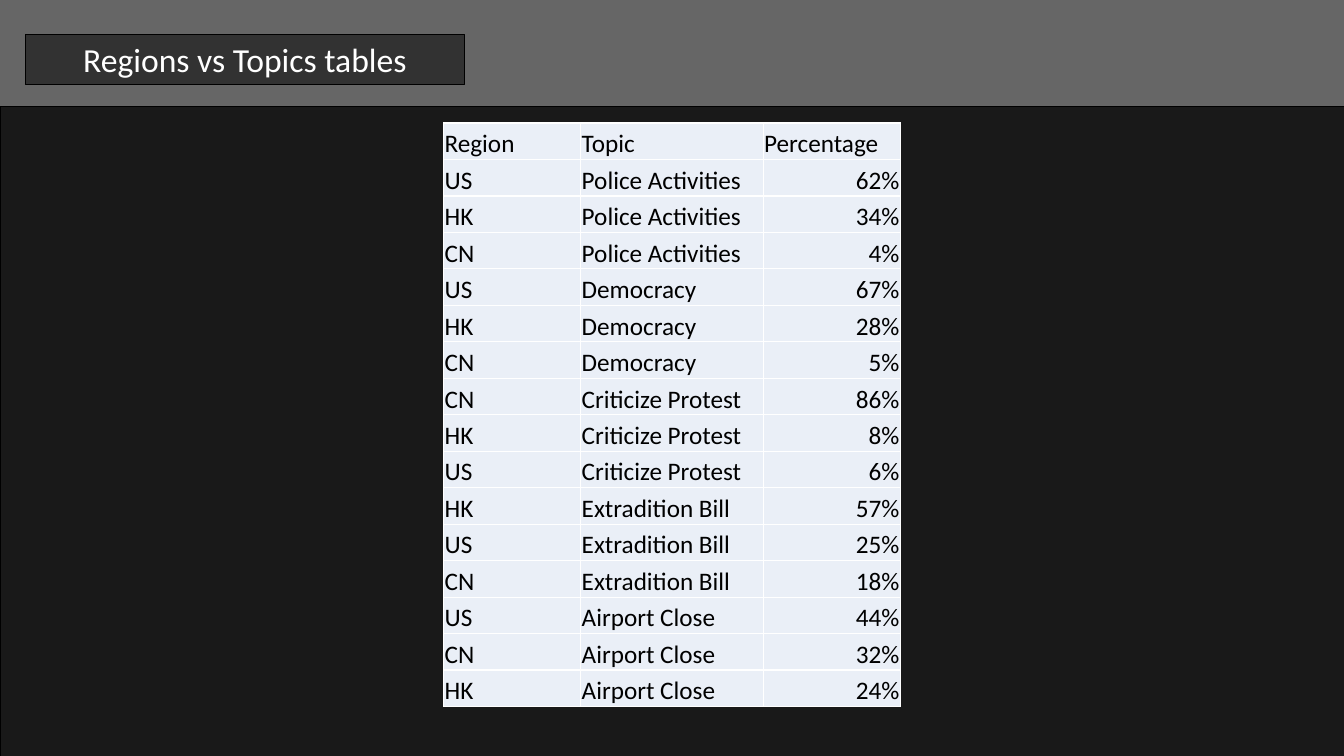
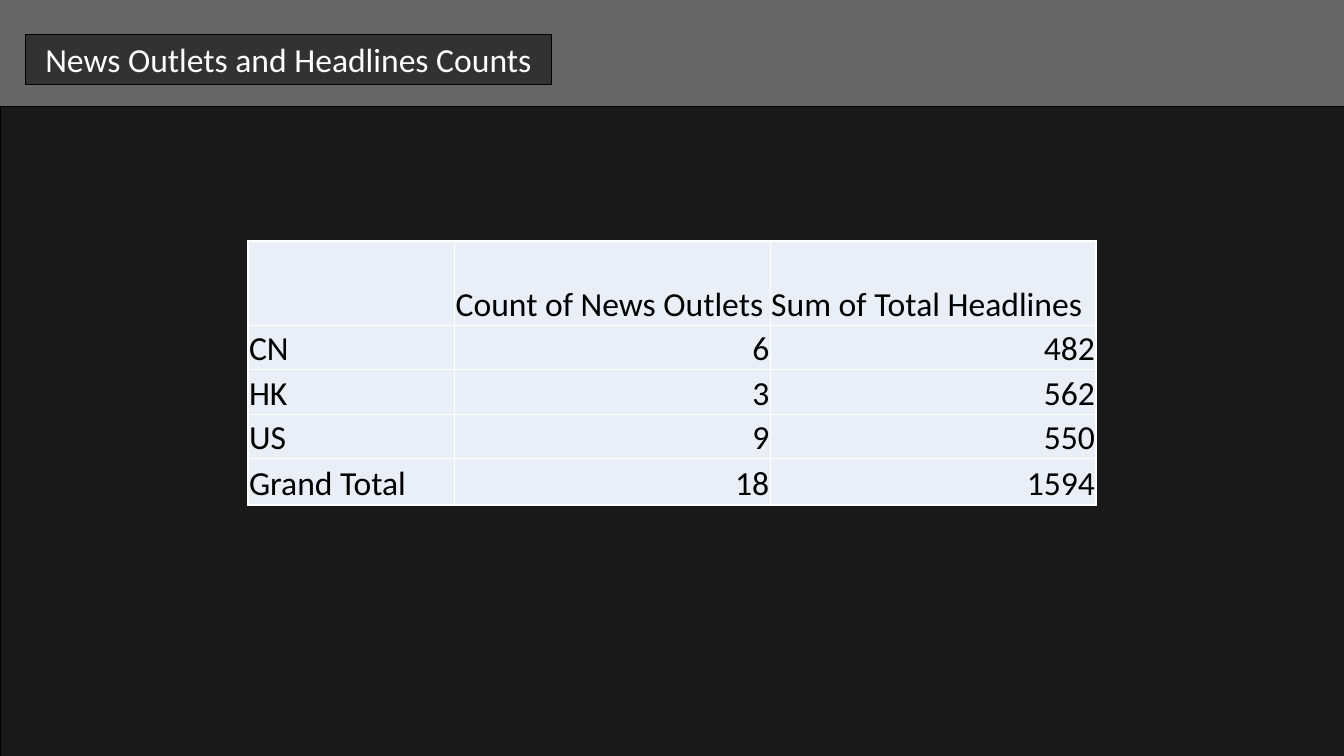
import dataclasses

import lxml.etree
import pptx
import pptx.dml.color
import pptx.enum.shapes
import pptx.enum.text
import pptx.oxml.ns
import pptx.util

Inches = pptx.util.Inches
Pt = pptx.util.Pt
qn = pptx.oxml.ns.qn
PP_ALIGN = pptx.enum.text.PP_ALIGN


@dataclasses.dataclass(frozen=True)
class Theme:
    font: str = "Calibri"
    dark: str = "000000"
    light: str = "FFFFFF"
    cell: str = "EAEFF7"
    title_size: int = 24
    large_size: int = 24
    small_size: int = 18
    width: float = 13.33
    height: float = 7.5
    band: float = 1.06


THEME = Theme()

TOPICS = {
    "Police Activities": [("US", 62), ("HK", 34), ("CN", 4)],
    "Democracy": [("US", 67), ("HK", 28), ("CN", 5)],
    "Criticize Protest": [("CN", 86), ("HK", 8), ("US", 6)],
    "Extradition Bill": [("HK", 57), ("US", 25), ("CN", 18)],
    "Airport Close": [("US", 44), ("CN", 32), ("HK", 24)],
}

OUTLETS = [
    ("", "Count of News Outlets", "Sum of Total Headlines"),
    ("CN", "6", "482"),
    ("HK", "3", "562"),
    ("US", "9", "550"),
    ("Grand Total", "18", "1594"),
]


def rgb(color):
    return pptx.dml.color.RGBColor.from_string(color)


def style_paragraph(p, size, color, align):
    p.alignment = align
    p.font.name = THEME.font
    p.font.size = Pt(size)
    p.font.color.rgb = rgb(color)


def add_panel(s, left, top, width, height, opacity, line=None):
    sp = s.shapes.add_shape(
        pptx.enum.shapes.MSO_SHAPE.RECTANGLE,
        Inches(left), Inches(top), Inches(width), Inches(height),
    )
    sp.shadow.inherit = False
    sp.fill.solid()
    sp.fill.fore_color.rgb = rgb(THEME.dark)
    color = sp._element.spPr.find(qn("a:solidFill")).find(qn("a:srgbClr"))
    lxml.etree.SubElement(color, qn("a:alpha"), val=str(opacity * 1000))
    if line is None:
        sp.line.fill.background()
    else:
        sp.line.color.rgb = rgb(THEME.dark)
        sp.line.width = Pt(line)
    return sp


def add_titled_slide(prs, title, title_width):
    s = prs.slides.add_slide(prs.slide_layouts[6])
    add_panel(s, 0, 0, THEME.width, THEME.height, 60)
    add_panel(s, 0, THEME.band, THEME.width, THEME.height - THEME.band, 75, 0.5)
    sp = add_panel(s, 0.25, 0.34, title_width, 0.5, 50, 0.75)
    p = sp.text_frame.paragraphs[0]
    p.text = title
    style_paragraph(p, THEME.title_size, THEME.light, PP_ALIGN.CENTER)
    return s


def add_borders(cell):
    tc_pr = cell._tc.get_or_add_tcPr()
    for side in ("lnL", "lnR", "lnT", "lnB"):
        ln = lxml.etree.SubElement(tc_pr, qn(f"a:{side}"), w=str(Pt(1)))
        fill = lxml.etree.SubElement(ln, qn("a:solidFill"))
        lxml.etree.SubElement(fill, qn("a:srgbClr"), val=THEME.light)


def fill_cell(cell, text, size, align):
    add_borders(cell)
    cell.fill.solid()
    cell.fill.fore_color.rgb = rgb(THEME.cell)
    cell.vertical_anchor = pptx.enum.text.MSO_ANCHOR.BOTTOM
    cell.margin_left = cell.margin_right = cell.margin_top = Inches(0.01)
    cell.margin_bottom = 0
    p = cell.text_frame.paragraphs[0]
    p.text = text
    style_paragraph(p, size, THEME.dark, align)


def add_data_table(s, rows, top, widths, heights, size, label_columns):
    width = sum(widths)
    table = s.shapes.add_table(
        len(rows), len(widths),
        Inches((THEME.width - width) / 2), Inches(top),
        Inches(width), Inches(sum(heights)),
    ).table
    table.first_row = False
    table.horz_banding = False
    for column, column_width in zip(table.columns, widths):
        column.width = Inches(column_width)
    for row, row_height in zip(table.rows, heights):
        row.height = Inches(row_height)
    for i, values in enumerate(rows):
        for j, text in enumerate(values):
            is_number = i > 0 and j >= label_columns
            align = PP_ALIGN.RIGHT if is_number else PP_ALIGN.LEFT
            fill_cell(table.cell(i, j), text, size, align)


def add_topics_slide(prs):
    s = add_titled_slide(prs, "Regions vs Topics tables", 4.36)
    rows = [("Region", "Topic", "Percentage")]
    for topic, shares in TOPICS.items():
        rows += [(region, topic, f"{share}%") for region, share in shares]
    heights = [5.79 / len(rows)] * len(rows)
    add_data_table(s, rows, 1.22, [1.36, 1.81, 1.36], heights, THEME.small_size, 2)


def add_outlets_slide(prs):
    s = add_titled_slide(prs, "News Outlets and Headlines Counts", 5.22)
    heights = [0.84, 0.44, 0.44, 0.44, 0.46]
    add_data_table(s, OUTLETS, 2.39, [2.05, 3.13, 3.23], heights, THEME.large_size, 1)


def main():
    prs = pptx.Presentation()
    prs.slide_width = Inches(THEME.width)
    prs.slide_height = Inches(THEME.height)
    add_topics_slide(prs)
    add_outlets_slide(prs)
    prs.save("out.pptx")


if __name__ == "__main__":
    main()
